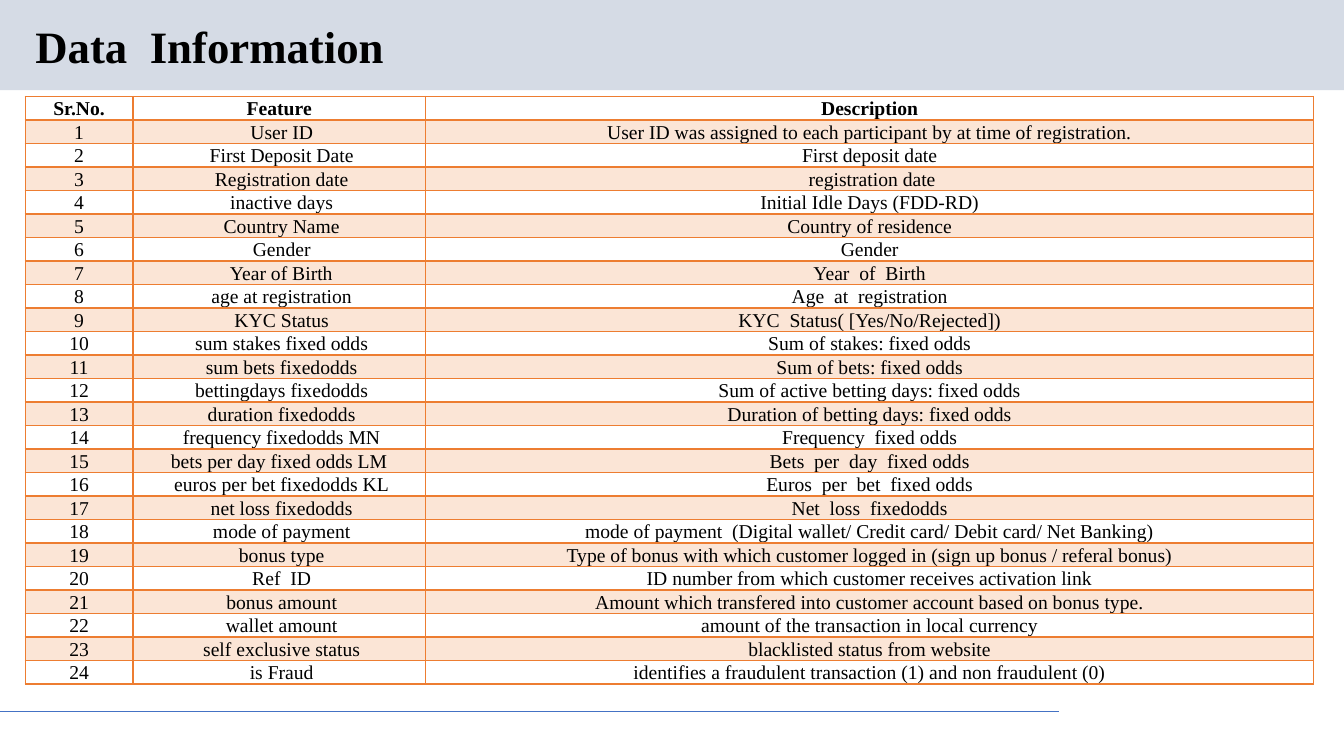
"""Builds the Data Information slide with its table of dataset features."""
from lxml.etree import SubElement
from pptx import Presentation
from pptx.dml.color import RGBColor
from pptx.enum.shapes import MSO_CONNECTOR, MSO_SHAPE
from pptx.enum.text import MSO_ANCHOR, PP_ALIGN
from pptx.oxml.ns import qn
from pptx.util import Pt

BAND = RGBColor(0xD5, 0xDB, 0xE5)
BLUE = RGBColor(0x44, 0x72, 0xC4)
ORANGE = RGBColor(0xED, 0x7D, 0x31)
PEACH = RGBColor(0xFB, 0xE5, 0xD6)
BLACK = RGBColor(0, 0, 0)
FONT = "Times New Roman"

HEADER = ("Sr.No.", "Feature", "Description")
FEATURES = [
    (" User ID", "User ID was assigned to each participant by at time of registration."),
    (" First Deposit Date", "First deposit date"),
    (" Registration date", " registration date"),
    (" inactive days", "Initial Idle Days (FDD-RD)"),
    (" Country Name", "Country of residence"),
    (" Gender", "Gender"),
    (" Year of Birth", "Year  of  Birth"),
    (" age at registration", "Age  at  registration"),
    (" KYC Status", "KYC  Status( [Yes/No/Rejected])"),
    (" sum stakes fixed odds", "Sum of stakes: fixed odds"),
    (" sum bets fixedodds", "Sum of bets: fixed odds"),
    (" bettingdays fixedodds", "Sum of active betting days: fixed odds"),
    (" duration fixedodds", "Duration of betting days: fixed odds"),
    (" frequency fixedodds MN", "Frequency  fixed odds"),
    ("bets per day fixed odds LM", "Bets  per  day  fixed odds"),
    (" euros per bet fixedodds KL", "Euros  per  bet  fixed odds"),
    (" net loss fixedodds", "Net  loss  fixedodds"),
    (" mode of payment", "mode of payment  (Digital wallet/ Credit card/ Debit card/ Net Banking)"),
    (" bonus type", "Type of bonus with which customer logged in (sign up bonus / referal bonus)"),
    (" Ref  ID", "ID number from which customer receives activation link"),
    (" bonus amount", "Amount which transfered into customer account based on bonus type."),
    (" wallet amount", "amount of the transaction in local currency"),
    (" self exclusive status", "blacklisted status from website"),
    (" is Fraud", "identifies a fraudulent transaction (1) and non fraudulent (0)"),
]
ROWS = [HEADER] + [(str(n), *row) for n, row in enumerate(FEATURES, 1)]
COL_WIDTHS = (77, 209, 634.5)
ROW_HEIGHT = 16.8


def style_font(p, size, bold):
    p.font.name = FONT
    p.font.size = Pt(size)
    p.font.bold = bold
    p.font.color.rgb = BLACK


def add_border(cell, side, width):
    ln = SubElement(cell._tc.get_or_add_tcPr(), qn(f"a:ln{side}"), w=str(Pt(width)))
    fill = SubElement(ln, qn("a:solidFill"))
    SubElement(fill, qn("a:srgbClr"), val=str(ORANGE))


prs = Presentation()
prs.slide_width, prs.slide_height = Pt(960), Pt(540)
s = prs.slides.add_slide(prs.slide_layouts[5])

band = s.shapes.add_shape(MSO_SHAPE.RECTANGLE, Pt(0), Pt(0), Pt(960), Pt(64.5))
band.shadow.inherit = False
band.fill.solid()
band.fill.fore_color.rgb = BAND
band.line.fill.background()

rule = s.shapes.add_connector(MSO_CONNECTOR.STRAIGHT, Pt(0), Pt(508.3), Pt(756.5), Pt(508.3))
rule.line.color.rgb = BLUE
rule.line.width = Pt(0.75)
SubElement(rule.element.spPr, qn("a:effectLst"))

title = s.shapes.title
title.element.getparent().append(title.element)
title.left, title.top, title.width, title.height = Pt(18), Pt(13.5), Pt(828), Pt(42.5)
tf = title.text_frame
tf.text = "Data  Information"
tf.vertical_anchor = MSO_ANCHOR.MIDDLE
p = tf.paragraphs[0]
p.alignment = PP_ALIGN.LEFT
p.line_spacing = 0.9
style_font(p, 32, True)

frame = s.shapes.add_table(len(ROWS), len(HEADER), Pt(18), Pt(69),
                           Pt(sum(COL_WIDTHS)), Pt(ROW_HEIGHT * len(ROWS)))
table = frame.table
table.horz_banding = False
for col, width in zip(table.columns, COL_WIDTHS):
    col.width = Pt(width)

for i, texts in enumerate(ROWS):
    table.rows[i].height = Pt(ROW_HEIGHT)
    for j, text in enumerate(texts):
        cell = table.cell(i, j)
        cell.text = text
        cell.vertical_anchor = MSO_ANCHOR.BOTTOM
        cell.margin_left = cell.margin_right = cell.margin_top = cell.margin_bottom = 0
        p = cell.text_frame.paragraphs[0]
        p.alignment = PP_ALIGN.CENTER
        style_font(p, 14, i == 0)
        for side in "LRTB":
            add_border(cell, side, 2 if (i, side) in ((0, "B"), (1, "T")) else 1)
        if i % 2:
            cell.fill.solid()
            cell.fill.fore_color.rgb = PEACH
        else:
            cell.fill.background()

prs.save("out.pptx")
